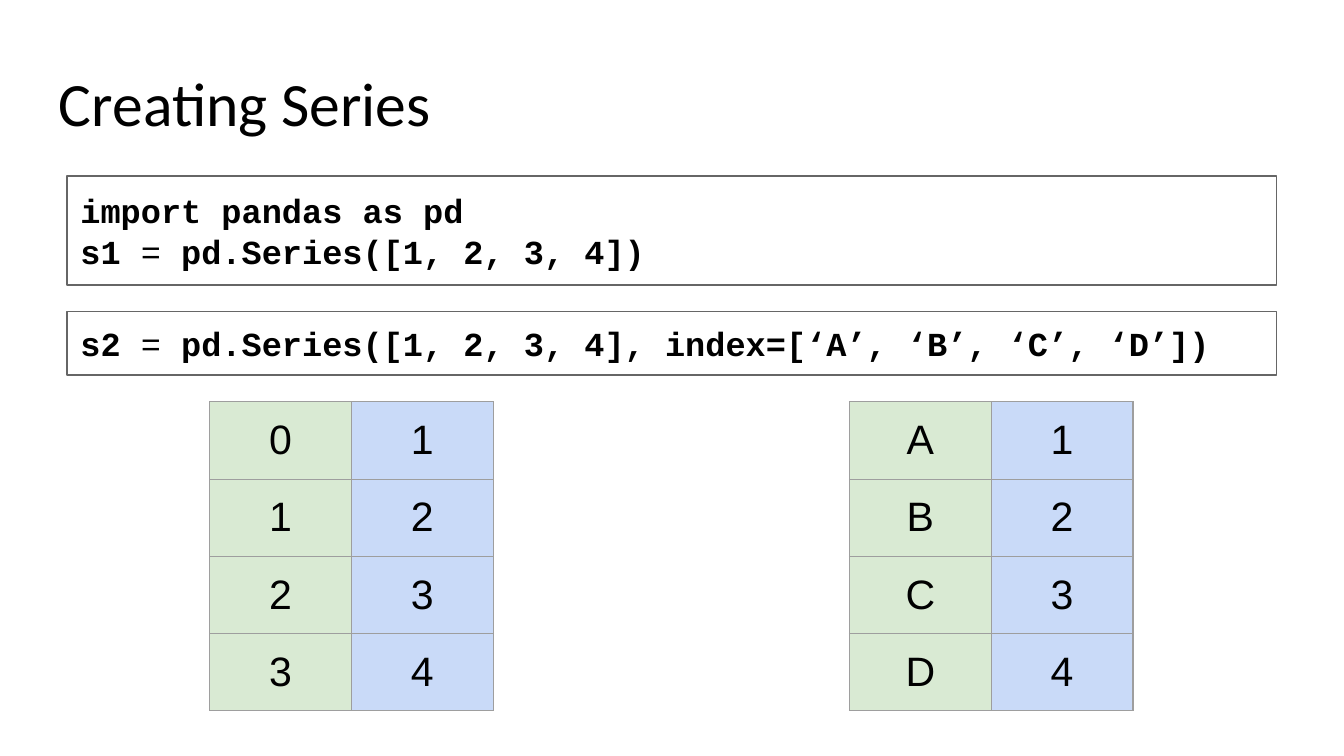
from lxml import etree
from pptx import Presentation
from pptx import util as u
from pptx.dml.color import RGBColor
from pptx.enum import shapes, text
from pptx.oxml import ns

BLACK = RGBColor(0x00, 0x00, 0x00)
BOX_LINE = RGBColor(0x66, 0x66, 0x66)
GRID = RGBColor(0x9E, 0x9E, 0x9E)
INDEX_FILL = RGBColor(0xD9, 0xEA, 0xD3)
VALUE_FILL = RGBColor(0xC9, 0xDA, 0xF8)
PAD = u.Inches(0.1)


def write(tf, lines, font, size, align=text.PP_ALIGN.LEFT, spacing=None):
    """Fill a text frame; each line is a list of (text, bold) runs."""
    for i, runs in enumerate(lines):
        p = tf.add_paragraph() if i else tf.paragraphs[0]
        p.alignment = align
        if spacing:
            p.line_spacing = spacing
        for words, bold in runs:
            r = p.add_run()
            r.text = words
            r.font.name = font
            r.font.size = u.Pt(size)
            r.font.bold = bold
            r.font.color.rgb = BLACK


def set_layout(box):
    """Pad and centre vertically the text of a text frame or a table cell."""
    box.vertical_anchor = text.MSO_ANCHOR.MIDDLE
    box.margin_left = box.margin_right = box.margin_top = box.margin_bottom = PAD


def add_title(s, words, x, y, w, h):
    sp = s.shapes.add_textbox(u.Inches(x), u.Inches(y), u.Inches(w), u.Inches(h))
    tf = sp.text_frame
    tf.word_wrap = True
    set_layout(tf)
    write(tf, [[(words, False)]], "Calibri", 33, spacing=0.9)


def add_code(s, lines, x, y, w, h):
    sp = s.shapes.add_shape(shapes.MSO_SHAPE.RECTANGLE, u.Inches(x), u.Inches(y),
                            u.Inches(w), u.Inches(h))
    sp.shadow.inherit = False
    sp.fill.background()
    sp.line.color.rgb = BOX_LINE
    sp.line.width = u.Pt(0.75)
    tf = sp.text_frame
    tf.word_wrap = True
    set_layout(tf)
    write(tf, lines, "Courier New", 18)


def assignment(name, expression):
    return [(name, True), (" = ", False), (expression, True)]


def set_borders(cell):
    """Draw all four cell borders, placed ahead of the fill as the schema asks."""
    tc_pr = cell._tc.get_or_add_tcPr()
    for i, side in enumerate(("lnL", "lnR", "lnT", "lnB")):
        ln = etree.Element(ns.qn("a:" + side), w=str(u.Pt(0.75)))
        fill = etree.SubElement(ln, ns.qn("a:solidFill"))
        etree.SubElement(fill, ns.qn("a:srgbClr"), val=str(GRID))
        tc_pr.insert(i, ln)


def add_series(s, index, values, x, y, w, h):
    """Draw a series as a column of labels beside a column of values."""
    table = s.shapes.add_table(len(values), 2, u.Inches(x), u.Inches(y),
                               u.Inches(w), u.Inches(h)).table
    table.first_row = table.horz_banding = False
    for row, pair in enumerate(zip(index, values)):
        for col, (label, fill) in enumerate(zip(pair, (INDEX_FILL, VALUE_FILL))):
            cell = table.cell(row, col)
            cell.fill.solid()
            cell.fill.fore_color.rgb = fill
            set_layout(cell)
            set_borders(cell)
            write(cell.text_frame, [[(label, False)]], "Arial", 22,
                  align=text.PP_ALIGN.CENTER)


def main():
    prs = Presentation()
    prs.slide_width = u.Inches(10)
    prs.slide_height = prs.slide_width * 9 // 16
    s = prs.slides.add_slide(prs.slide_layouts[6])

    add_title(s, "Creating Series", 0.34, 0.46, 9.32, 0.66)
    add_code(s, [[("import pandas as pd", True)],
                 assignment("s1", "pd.Series([1, 2, 3, 4])")], 0.5, 1.31, 9, 0.81)
    add_series(s, "0123", "1234", 1.56, 2.99, 2.11, 2.3)
    add_code(s, [assignment("s2", "pd.Series([1, 2, 3, 4], index=[‘A’, ‘B’, ‘C’, ‘D’])")],
             0.5, 2.32, 9, 0.47)
    add_series(s, "ABCD", "1234", 6.32, 2.99, 2.11, 2.3)

    prs.save("out.pptx")


if __name__ == "__main__":
    main()
